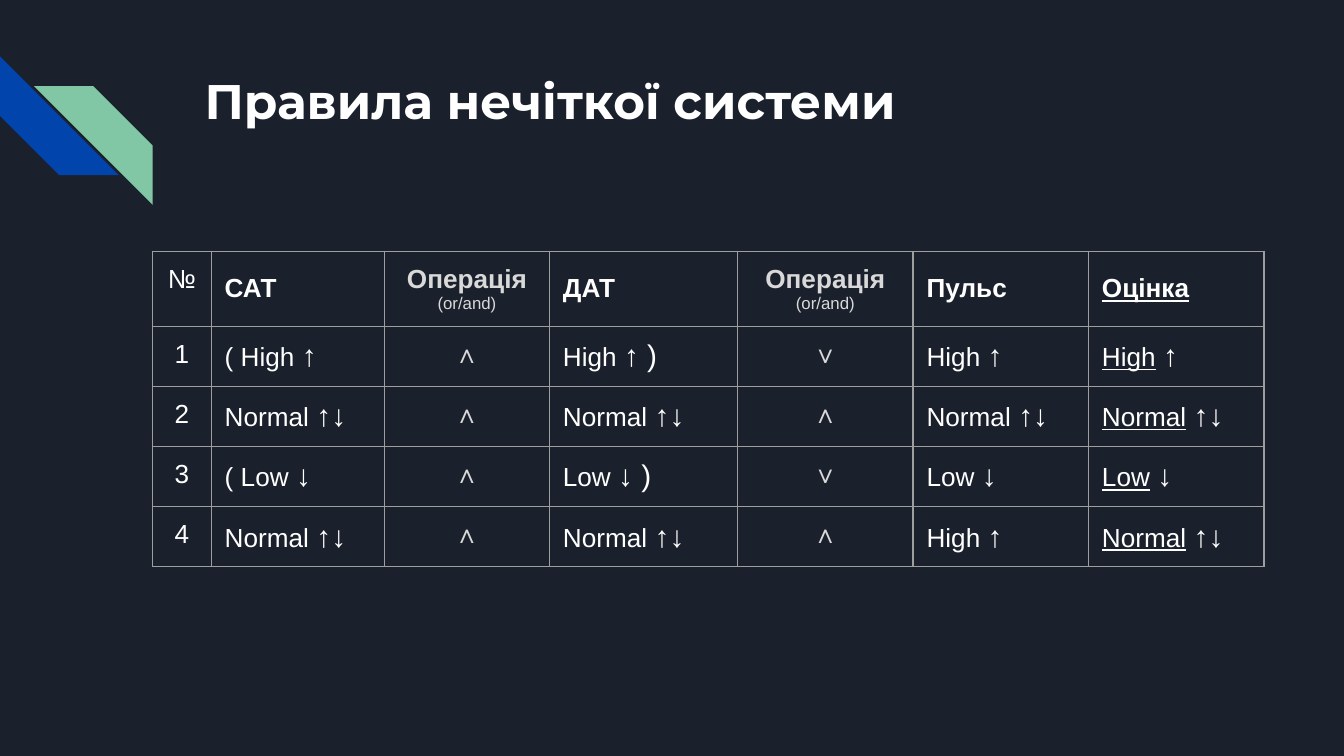
from lxml import etree
from pptx import Presentation
from pptx.dml.color import RGBColor
from pptx.enum.shapes import MSO_SHAPE
from pptx.enum.text import MSO_ANCHOR, MSO_AUTO_SIZE, PP_ALIGN
from pptx.oxml.ns import qn
from pptx.util import Pt

STRIPE = MSO_SHAPE.DIAGONAL_STRIPE
TOP, MIDDLE = MSO_ANCHOR.TOP, MSO_ANCHOR.MIDDLE
LEFT, CENTER = PP_ALIGN.LEFT, PP_ALIGN.CENTER
NO_AUTOFIT = MSO_AUTO_SIZE.NONE

NIGHT = RGBColor(0x1B, 0x21, 0x2C)
BLUE = RGBColor(0x01, 0x45, 0xAC)
GREEN = RGBColor(0x82, 0xC7, 0xA5)
WHITE = RGBColor(0xFF, 0xFF, 0xFF)
LIGHT = RGBColor(0xD9, 0xD9, 0xD9)
GRID = RGBColor(0x9E, 0x9E, 0x9E)

INSET = Pt(7.2)
AND, OR = "∧", "∨"
ARROWS = {"High": "↑", "Normal": "↑↓", "Low": "↓"}
HEADERS = ["№", "САТ", "Операція ", "ДАТ", "Операція ", "Пульс", "Оцінка"]
RULES = [
    ("High", AND, "High", OR, "High", "High"),
    ("Normal", AND, "Normal", AND, "Normal", "Normal"),
    ("Low", AND, "Low", OR, "Low", "Low"),
    ("Normal", AND, "Normal", AND, "High", "Normal"),
]
COLUMN_WIDTHS = [31.6, 92.8, 88.4, 100.8, 94, 94, 94]
HEADER_HEIGHT, RULE_HEIGHT = 40.2, 32.1


def add_text(paragraph, text, size=14, font="Arial", color=WHITE,
             bold=False, underline=False, align=LEFT):
    paragraph.alignment = align
    run = paragraph.add_run()
    run.text = text
    run.font.size = Pt(size)
    run.font.name = font
    run.font.color.rgb = color
    run.font.bold = bold
    run.font.underline = underline


def set_insets(holder):
    holder.margin_left = holder.margin_right = INSET
    holder.margin_top = holder.margin_bottom = INSET


def add_stripes(slide, left, top, side):
    for dx, dy, rotation, color in [(0, 0, 270, BLUE), (18.2, 16, 90, GREEN)]:
        stripe = slide.shapes.add_shape(
            STRIPE, Pt(left + dx), Pt(top + dy), Pt(side), Pt(side))
        stripe.adjustments[0] = 0.5
        stripe.rotation = rotation
        stripe.shadow.inherit = False
        stripe.fill.solid()
        stripe.fill.fore_color.rgb = color
        stripe.line.fill.background()


def place_title(slide, left, top, width, height):
    title = slide.shapes.title
    title.left, title.top = Pt(left), Pt(top)
    title.width, title.height = Pt(width), Pt(height)
    frame = title.text_frame
    frame.auto_size = NO_AUTOFIT
    frame.word_wrap = True
    frame.vertical_anchor = TOP
    set_insets(frame)
    add_text(frame.paragraphs[0], "Правила нечіткої системи",
             size=26, font="Montserrat", bold=True)


def format_cell(cell, anchor=TOP):
    set_insets(cell)
    cell.vertical_anchor = anchor
    properties = cell._tc.get_or_add_tcPr()
    for side in ("a:lnL", "a:lnR", "a:lnT", "a:lnB"):
        border = etree.SubElement(properties, qn(side), w=str(Pt(0.75)))
        fill = etree.SubElement(border, qn("a:solidFill"))
        etree.SubElement(fill, qn("a:srgbClr"), val=str(GRID))
    cell.fill.background()
    return cell.text_frame.paragraphs[0]


def fill_header(table):
    for column, label in enumerate(HEADERS):
        is_number, is_operation = column == 0, column in (2, 4)
        paragraph = format_cell(table.cell(0, column),
                                TOP if is_number or is_operation else MIDDLE)
        align = CENTER if is_number or is_operation else LEFT
        add_text(paragraph, label, bold=not is_number, align=align,
                 color=LIGHT if is_operation else WHITE,
                 underline=column == len(HEADERS) - 1)
        if is_operation:
            add_text(paragraph, "(or/and)", size=9, color=LIGHT, align=CENTER)


def fill_rule(table, row, rule):
    add_text(format_cell(table.cell(row, 0)), str(row), align=CENTER)
    grouped = rule[3] == OR
    for column, term in enumerate(rule, 1):
        paragraph = format_cell(table.cell(row, column))
        if term in (AND, OR):
            add_text(paragraph, term, color=LIGHT, align=CENTER)
            continue
        opening = "( " if grouped and column == 1 else ""
        closing = " )" if grouped and column == 3 else ""
        if column == len(rule):
            add_text(paragraph, term, underline=True)
            add_text(paragraph, " ")
        else:
            add_text(paragraph, f"{opening}{term} ")
        add_text(paragraph, ARROWS[term] + closing, size=16)


def add_rules_table(slide, left, top):
    height = HEADER_HEIGHT + RULE_HEIGHT * len(RULES)
    table = slide.shapes.add_table(
        len(RULES) + 1, len(HEADERS), Pt(left), Pt(top),
        Pt(sum(COLUMN_WIDTHS)), Pt(height)).table
    table.first_row = table.horz_banding = False
    for column, width in zip(table.columns, COLUMN_WIDTHS):
        column.width = Pt(width)
    for index, row in enumerate(table.rows):
        row.height = Pt(RULE_HEIGHT if index else HEADER_HEIGHT)
    fill_header(table)
    for row, rule in enumerate(RULES, 1):
        fill_rule(table, row, rule)


def main():
    deck = Presentation()
    deck.slide_width, deck.slide_height = Pt(720), Pt(405)
    slide = deck.slides.add_slide(deck.slide_layouts[5])
    slide.background.fill.solid()
    slide.background.fill.fore_color.rgb = NIGHT
    add_stripes(slide, 0, 30.2, 63.6)
    place_title(slide, 102.4, 31, 554.4, 72)
    add_rules_table(slide, 81.6, 134.6)
    deck.save("out.pptx")


if __name__ == "__main__":
    main()
